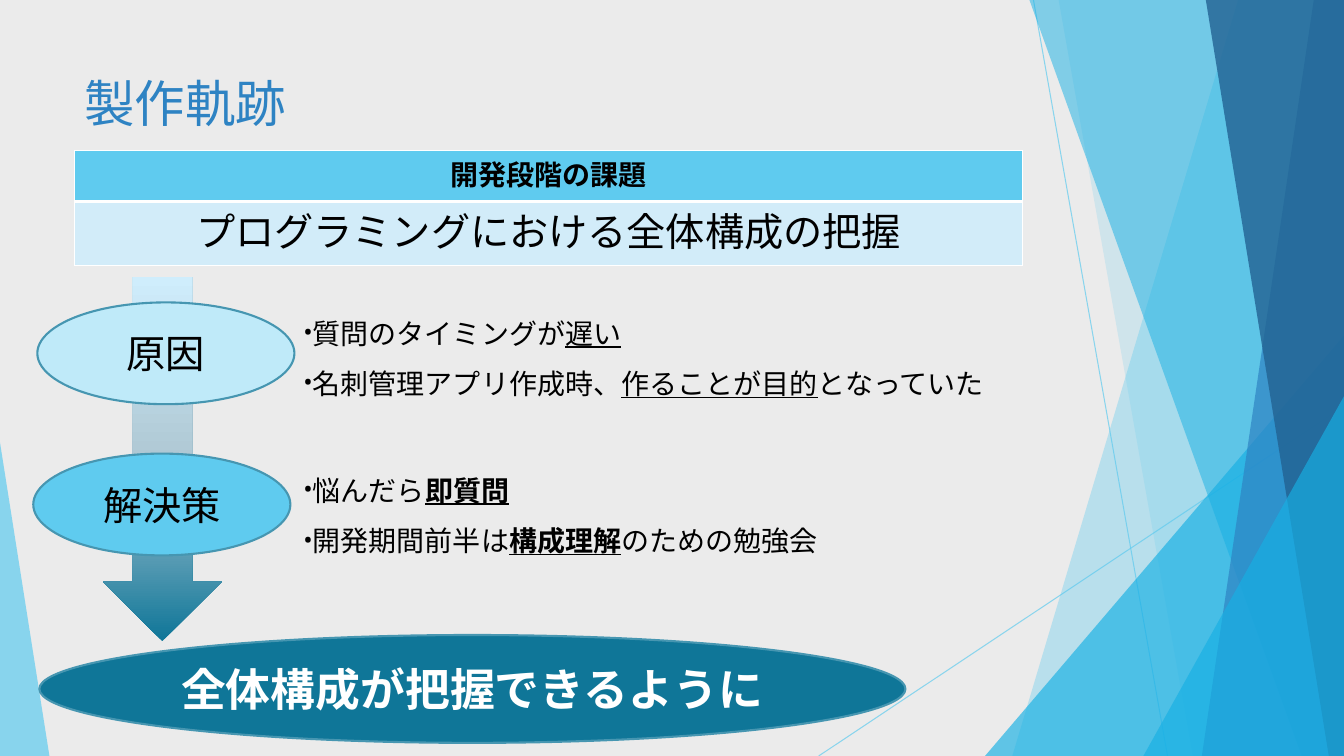
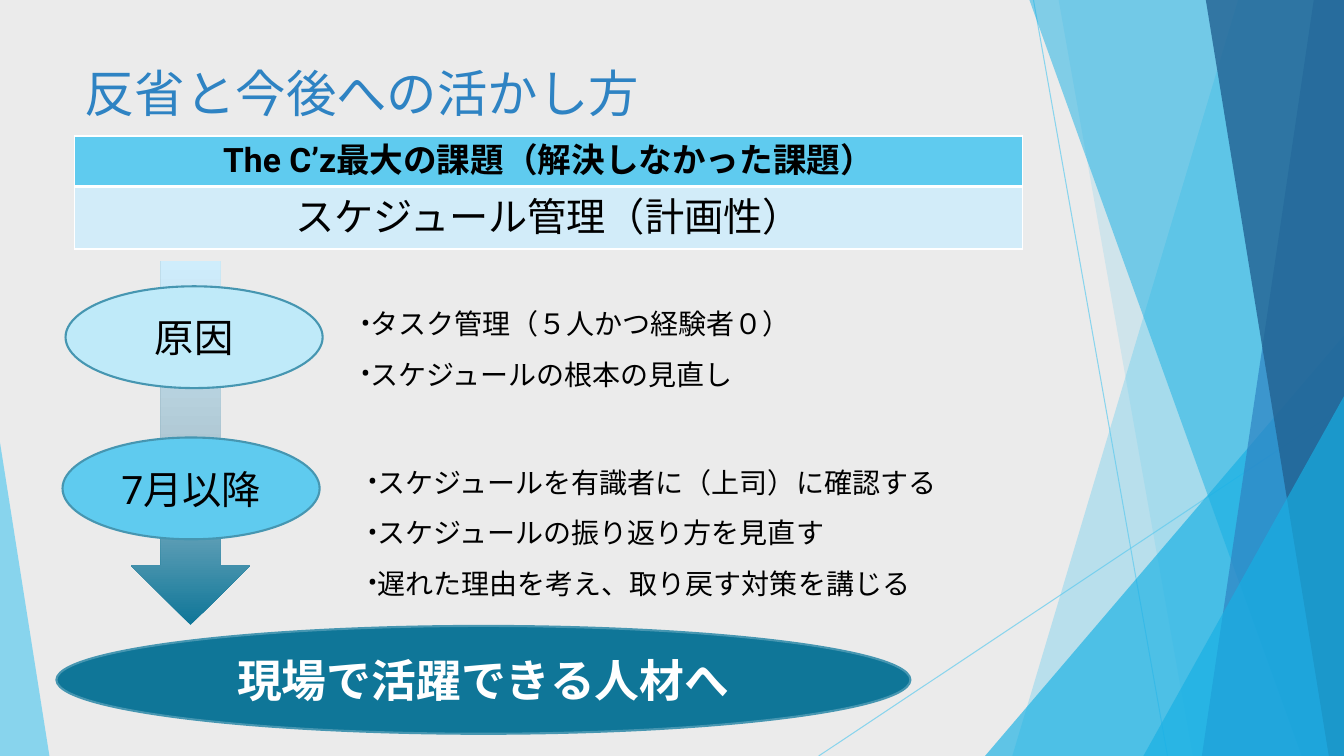
from dataclasses import dataclass

from lxml import etree
from pptx import Presentation
from pptx.dml.color import RGBColor
from pptx.enum.lang import MSO_LANGUAGE_ID
from pptx.enum.shapes import MSO_CONNECTOR, MSO_SHAPE
from pptx.enum.text import MSO_ANCHOR, MSO_AUTO_SIZE, PP_ALIGN
from pptx.oxml.ns import qn
from pptx.util import Emu, Pt

PX = 9144  # 100 px to the inch
W, H = 1333, 750

STRAIGHT = MSO_CONNECTOR.STRAIGHT
TRIANGLE = MSO_SHAPE.ISOSCELES_TRIANGLE
OVAL = MSO_SHAPE.OVAL
DOWN_ARROW = MSO_SHAPE.DOWN_ARROW
MIDDLE = MSO_ANCHOR.MIDDLE
CENTER = PP_ALIGN.CENTER
FIT_TEXT = MSO_AUTO_SIZE.SHAPE_TO_FIT_TEXT
JAPANESE = MSO_LANGUAGE_ID.JAPANESE

FONT = "Roboto"
BACKGROUND = "EBEBEB"
BLACK = "000000"
WHITE = "FFFFFF"
SKY = "5FCBEF"
CYAN = "17B0E4"
BLUE = "2E83C3"
NAVY = "226292"
TEAL = "0F7698"
OUTLINE = "4696B1"
PALE_SKY = "BFEAF9"
PALE_ROW = "D2ECF9"
ARROW_STOPS = ((0, TEAL), (50, "AFC8D4"), (100, "CFEDFC"))


@dataclass(frozen=True)
class Box:
    x: int
    y: int
    w: int
    h: int

    def emu(self) -> tuple[Emu, ...]:
        return tuple(Emu(v * PX) for v in (self.x, self.y, self.w, self.h))


@dataclass(frozen=True)
class Run:
    text: str
    bold: bool = False
    underline: bool = False


@dataclass(frozen=True)
class Ellipse:
    box: Box
    text: str
    fill: str
    size: int = 28
    color: str = BLACK
    bold: bool = False


@dataclass(frozen=True)
class Bullets:
    box: Box
    items: tuple[tuple[Run, ...], ...]
    indent: int = 0


@dataclass(frozen=True)
class Issue:
    box: Box
    header_height: int
    header: str
    header_size: int
    body: str


@dataclass(frozen=True)
class Page:
    title: str
    title_y: int
    issue: Issue
    arrow: Box
    ellipses: tuple[Ellipse, ...]
    bullets: tuple[Bullets, ...]


@dataclass(frozen=True)
class Band:
    """Facet reaching the right edge, or a triangle when a box is given."""
    color: str
    alpha: int
    top: int = 0
    bottom: int = 0
    box: Box | None = None
    apex: int = 0


LINES = ((1025, 0, 1158, H), (W, 403, 812, H))
BANDS = (
    Band(SKY, 36, 1228, 1004),
    Band(SKY, 20, 1050, 1183),
    Band(CYAN, 66, box=Box(977, 333, 356, 417), apex=1),
    Band(CYAN, 50, 1021, 1291),
    Band(BLUE, 70, 1303, 1192),
    Band(NAVY, 80, 1196, 1318),
    Band(CYAN, 66, box=Box(1134, 393, 199, 357), apex=1),
    Band(SKY, 70, box=Box(0, 439, 49, 311)),
)

PAGES = (
    Page(
        "製作軌跡", 67,
        Issue(Box(74, 149, 940, 114), 51, "開発段階の課題", 20,
              "プログラミングにおける全体構成の把握"),
        Box(102, 275, 118, 361),
        (
            Ellipse(Box(37, 300, 255, 101), "原因", PALE_SKY),
            Ellipse(Box(33, 450, 255, 101), "解決策", SKY),
            Ellipse(Box(39, 630, 859, 107), "全体構成が把握できるように",
                    TEAL, 32, WHITE, True),
        ),
        (
            Bullets(Box(291, 292, 723, 107), (
                (Run("質問のタイミングが"), Run("遅い", underline=True)),
                (Run("名刺管理アプリ作成時、"),
                 Run("作ることが目的", underline=True),
                 Run("となっていた")),
            )),
            Bullets(Box(291, 448, 571, 107), (
                (Run("悩んだら"), Run("即質問", True, True)),
                (Run("開発期間前半は"), Run("構成理解", True, True),
                 Run("のための勉強会")),
            )),
        ),
    ),
    Page(
        "反省と今後への活かし方", 57,
        Issue(Box(74, 135, 940, 112), 50,
              "The C’z最大の課題（解決しなかった課題）", 24,
              "スケジュール管理（計画性）"),
        Box(130, 259, 118, 361),
        (
            Ellipse(Box(65, 284, 255, 101), "原因", PALE_SKY),
            Ellipse(Box(62, 434, 255, 101), "7月以降", SKY),
            Ellipse(Box(56, 621, 847, 107), "現場で活躍できる人材へ",
                    TEAL, 32, WHITE, True),
        ),
        (
            Bullets(Box(320, 283, 837, 107), (
                (Run("タスク管理（５人かつ経験者０）"),),
                (Run("スケジュールの根本の見直し"),),
            ), 28),
            Bullets(Box(327, 440, 767, 157), (
                (Run("スケジュールを有識者に（上司）に確認する"),),
                (Run("スケジュールの振り返り方を見直す"),),
                (Run("遅れた理由を考え、取り戻す対策を講じる"),),
            ), 28),
        ),
    ),
)


def rgb(color: str) -> RGBColor:
    return RGBColor.from_string(color)


def fade(shape, alpha: int) -> None:
    for clr in shape._element.spPr.iter(qn("a:srgbClr")):
        etree.SubElement(clr, qn("a:alpha"), val=str(alpha * 1000))


def paint(shape, color: str) -> None:
    shape.shadow.inherit = False
    shape.fill.solid()
    shape.fill.fore_color.rgb = rgb(color)
    shape.line.fill.background()


def add_run(p, run: Run, size: int, color: str = BLACK) -> None:
    r = p.add_run()
    r.text = run.text
    font = r.font
    font.size, font.name = Pt(size), FONT
    font.bold, font.underline = run.bold, run.underline
    font.color.rgb = rgb(color)
    font.language_id = JAPANESE
    etree.SubElement(r._r.get_or_add_rPr(), qn("a:ea"), typeface=FONT)


# Shared decoration, kept on the layout
def add_decoration(s, layout) -> None:
    group = s.shapes.add_group_shape()
    for line in LINES:
        cn = group.shapes.add_connector(STRAIGHT, *(Emu(v * PX) for v in line))
        cn.line.color.rgb = rgb(SKY)
        cn.line.width = Pt(0.75)
        fade(cn, 70)
        etree.SubElement(cn._element.spPr, qn("a:effectLst"))
    for band in BANDS:
        if band.box:
            sp = group.shapes.add_shape(TRIANGLE, *band.box.emu())
            sp.adjustments[0] = band.apex
        else:
            outline = group.shapes.build_freeform(band.top, 0, scale=PX)
            outline.add_line_segments([(W, 0), (W, H), (band.bottom, H)])
            sp = outline.convert_to_shape()
        paint(sp, band.color)
        fade(sp, band.alpha)
    for props in group._element.iter(qn("p:cNvPr")):
        props.set("id", str(int(props.get("id")) + 100))
    layout.shapes._spTree.append(group._element)


def add_title(s, text: str, y: int) -> None:
    tf = s.shapes.add_textbox(*Box(74, y, 940, 85).emu()).text_frame
    tf.word_wrap = True
    add_run(tf.paragraphs[0], Run(text), 36, BLUE)


# Table of the issue
def set_borders(cell, top: int, bottom: int) -> None:
    tc_pr = cell._tc.get_or_add_tcPr()
    widths = (("a:lnL", 1), ("a:lnR", 1), ("a:lnT", top), ("a:lnB", bottom))
    for i, (tag, width) in enumerate(widths):
        ln = etree.Element(qn(tag), w=str(Pt(width)))
        fill = etree.SubElement(ln, qn("a:solidFill"))
        etree.SubElement(fill, qn("a:srgbClr"), val=WHITE)
        tc_pr.insert(i, ln)


def add_issue(s, issue: Issue) -> None:
    table = s.shapes.add_table(2, 1, *issue.box.emu()).table
    table.horz_banding = False
    head = issue.header_height
    rows = (
        (head, Run(issue.header, True), issue.header_size, SKY, 1, 3),
        (issue.box.h - head, Run(issue.body), 28, PALE_ROW, 3, 1),
    )
    for i, (height, run, size, color, top, bottom) in enumerate(rows):
        table.rows[i].height = Emu(height * PX)
        cell = table.cell(i, 0)
        cell.fill.solid()
        cell.fill.fore_color.rgb = rgb(color)
        cell.vertical_anchor = MIDDLE
        set_borders(cell, top, bottom)
        p = cell.text_frame.paragraphs[0]
        p.alignment = CENTER
        add_run(p, run, size)


# Flow from cause to result
def add_arrow(s, box: Box) -> None:
    sp = s.shapes.add_shape(DOWN_ARROW, *box.emu())
    paint(sp, TEAL)
    sp.fill.gradient()
    sp.fill.gradient_angle = 90
    stops = sp._element.spPr.find(".//" + qn("a:gsLst"))
    for old in list(stops):
        stops.remove(old)
    for pos, color in ARROW_STOPS:
        gs = etree.SubElement(stops, qn("a:gs"), pos=str(pos * 1000))
        etree.SubElement(gs, qn("a:srgbClr"), val=color)


def add_ellipse(s, item: Ellipse) -> None:
    sp = s.shapes.add_shape(OVAL, *item.box.emu())
    paint(sp, item.fill)
    sp.line.color.rgb = rgb(OUTLINE)
    sp.line.width = Pt(1.5)
    tf = sp.text_frame
    tf.vertical_anchor = MIDDLE
    p = tf.paragraphs[0]
    p.alignment = CENTER
    add_run(p, Run(item.text, item.bold), item.size, item.color)


def add_bullets(s, block: Bullets) -> None:
    hang = 9
    tf = s.shapes.add_textbox(*block.box.emu()).text_frame
    tf.word_wrap = True
    tf.auto_size = FIT_TEXT
    for i, runs in enumerate(block.items):
        p = tf.add_paragraph() if i else tf.paragraphs[0]
        p.line_spacing = 1.5
        p_pr = p._p.get_or_add_pPr()
        p_pr.set("marL", str((block.indent + hang) * PX))
        p_pr.set("indent", str(-hang * PX))
        etree.SubElement(p_pr, qn("a:buFont"), typeface=FONT)
        etree.SubElement(p_pr, qn("a:buChar"), char="•")
        for run in runs:
            add_run(p, run, 20)


def main() -> None:
    prs = Presentation()
    prs.slide_width, prs.slide_height = Emu(W * PX), Emu(H * PX)
    back = prs.slide_master.background.fill
    back.solid()
    back.fore_color.rgb = rgb(BACKGROUND)
    layout = prs.slide_layouts[6]
    for i, page in enumerate(PAGES):
        s = prs.slides.add_slide(layout)
        if i == 0:
            add_decoration(s, layout)
        add_title(s, page.title, page.title_y)
        add_issue(s, page.issue)
        add_arrow(s, page.arrow)
        for ellipse in page.ellipses:
            add_ellipse(s, ellipse)
        for block in page.bullets:
            add_bullets(s, block)
    prs.save("out.pptx")


if __name__ == "__main__":
    main()
